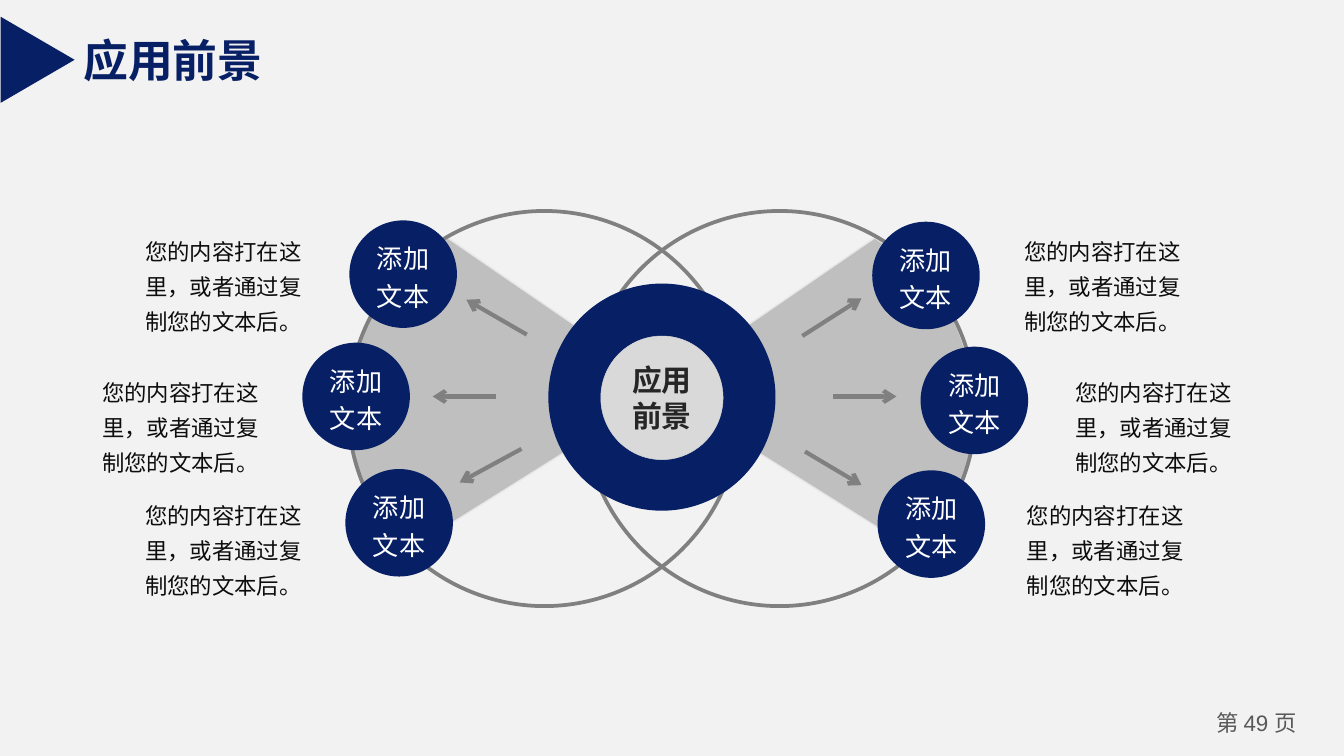
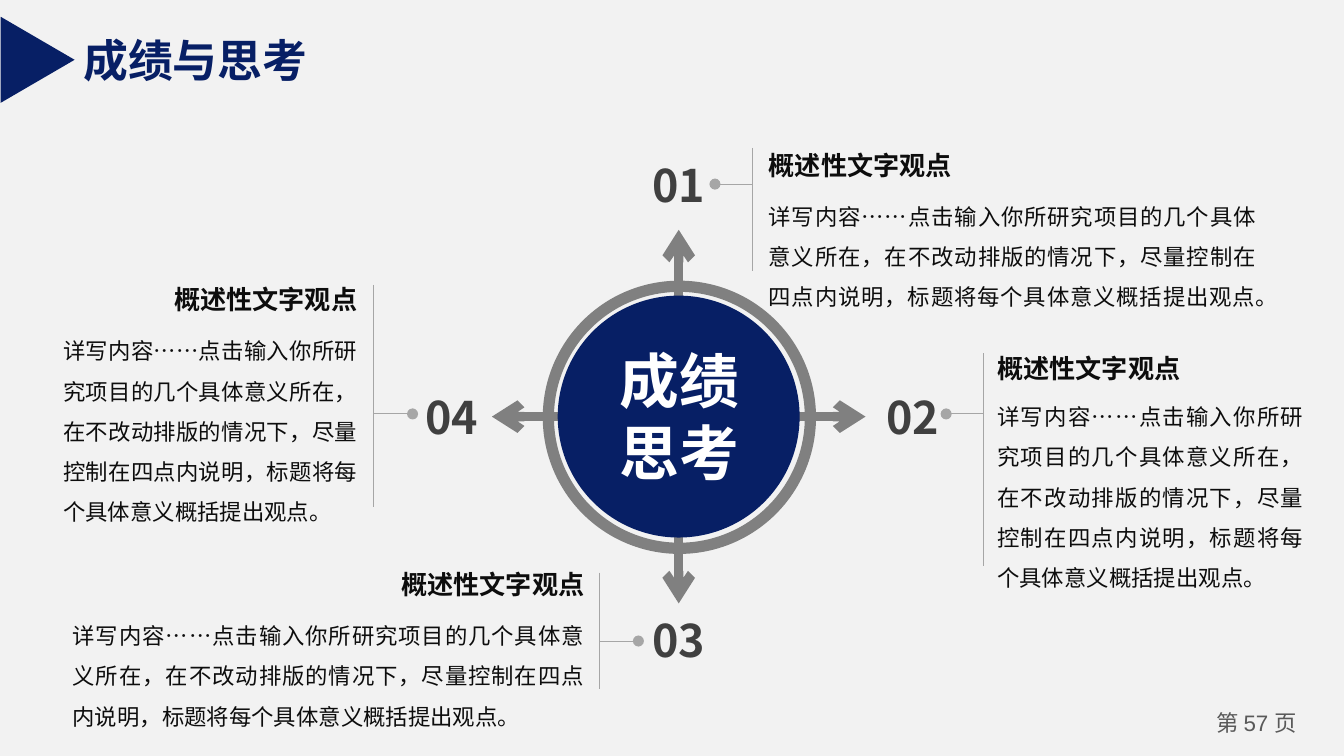
import lxml.etree
import pptx
import pptx.dml.color
import pptx.enum.shapes
import pptx.enum.text
import pptx.oxml.ns
import pptx.util

COLOURS = {
    "background": "F2F2F2",
    "navy": "071F65",
    "white": "FFFFFF",
    "ink": "0D0D0D",
    "hub_text": "262626",
    "number": "404040",
    "footer": "595959",
    "grey": "808080",
    "rule": "A6A6A6",
    "wedge": "BFBFBF",
    "wedge_edge": "E6E6E6",
    "hub": "D9D9D9",
    "hub_edge": "D7D7D7",
}
FONT = "Noto Sans CJK SC"
CELL = pptx.util.Inches(0.1)  # the slide is a grid of 100 columns
OVAL = pptx.enum.shapes.MSO_SHAPE.OVAL
TRIANGLE = pptx.enum.shapes.MSO_SHAPE.ISOSCELES_TRIANGLE
ALIGN = pptx.enum.text.PP_ALIGN
ANCHOR = pptx.enum.text.MSO_ANCHOR
qn = pptx.oxml.ns.qn


def dress(shape, bounds=None, fill=None, line=None, line_width=1, runs=(),
          size=12, colour="ink", bold=False, align=ALIGN.LEFT, spacing=1.0,
          anchor=ANCHOR.TOP, margins=(0.7, 0.4), wrap=True):
    """Place a shape by (column, row, columns, rows), then paint it and fill in its text."""
    if bounds:
        shape.left, shape.top, shape.width, shape.height = [
            round(value * CELL) for value in bounds]
    shape.shadow.inherit = False
    for part, name in ((shape.fill, fill), (shape.line.fill, line)):
        if name:
            part.solid()
            part.fore_color.rgb = pptx.dml.color.RGBColor.from_string(COLOURS[name])
        else:
            part.background()
    if line:
        shape.line.width = pptx.util.Pt(line_width)
    if not runs:
        return
    frame = shape.text_frame
    frame.word_wrap = wrap
    frame.auto_size = pptx.enum.text.MSO_AUTO_SIZE.NONE
    frame.vertical_anchor = anchor
    frame.margin_left = frame.margin_right = round(margins[0] * CELL)
    frame.margin_top = frame.margin_bottom = round(margins[1] * CELL)
    paragraph = frame.paragraphs[0]
    paragraph.alignment = align
    paragraph.line_spacing = spacing
    for text, font_name in runs:
        run = paragraph.add_run()
        run.text = text
        run.font.size = pptx.util.Pt(size)
        run.font.bold = bold
        run.font.color.rgb = pptx.dml.color.RGBColor.from_string(COLOURS[colour])
        run.font.name = font_name
        east_asian = lxml.etree.SubElement(run._r.get_or_add_rPr(), qn("a:ea"))
        east_asian.set("typeface", font_name)


def draw_line(slide, start, end, colour, width, tip=None):
    """Draw a straight line between two grid points; tip is the arrowhead type at its end."""
    connector = slide.shapes.add_connector(
        pptx.enum.shapes.MSO_CONNECTOR.STRAIGHT,
        *[round(value * CELL) for value in (*start, *end)])
    connector.line.color.rgb = pptx.dml.color.RGBColor.from_string(COLOURS[colour])
    connector.line.width = pptx.util.Pt(width)
    properties = connector._element.spPr
    if tip:
        tail = lxml.etree.SubElement(properties.find(qn("a:ln")), qn("a:tailEnd"))
        tail.set("type", tip)
    lxml.etree.SubElement(properties, qn("a:effectLst"))


presentation = pptx.Presentation()
presentation.slide_width = 100 * CELL
presentation.slide_height = presentation.slide_width * 9 // 16
background = presentation.slide_master.background.fill
background.solid()
background.fore_color.rgb = pptx.dml.color.RGBColor.from_string(COLOURS["background"])

# Title, marker and page number of every slide
slides = []
for title, title_width, page in (("应用前景", 15.5, "49"), ("成绩与思考", 18.8, "57")):
    slide = presentation.slides.add_slide(presentation.slide_layouts[5])
    dress(slide.shapes.title, (5.2, 1.9, title_width, 5), runs=[(title, FONT)],
          size=24, colour="navy", bold=True, margins=(1, 0.5), wrap=False)
    marker = slide.shapes.add_shape(TRIANGLE, 0, 0, 0, 0)
    dress(marker, (-0.4, 1.7, 6.4, 5.5), fill="navy")
    marker.rotation = 90
    dress(slide.shapes.add_textbox(0, 0, 0, 0), (89, 52.4, 9, 3),
          runs=[("第 ", FONT), (page + " ", "Arial"), ("页", FONT)],
          colour="footer", align=ALIGN.CENTER)
    slides.append(slide)
prospects, reflections = slides

# Slide 1: two mirrored wedges, each an apex and three curves
WEDGE_APEX = (48.8, 28.9)
WEDGE_START = (68.1, 41)
WEDGE_CURVES = [
    ((72.8, 35.2), (72.3, 33.2), (72.5, 30.2)),
    ((72.4, 27.8), (71.8, 25.2), (70.5, 23)),
    ((68.2, 19.8), (68.7, 20.1), (65.1, 17.7)),
]
CURVE_STEPS = 12
MIRROR_SUM = 98.4
outline = [WEDGE_APEX, WEDGE_START]
for control_1, control_2, end in WEDGE_CURVES:
    corners = list(zip(outline[-1], control_1, control_2, end))
    for step in range(1, CURVE_STEPS + 1):
        t = step / CURVE_STEPS
        weights = ((1 - t) ** 3, 3 * t * (1 - t) ** 2, 3 * t ** 2 * (1 - t), t ** 3)
        outline.append(tuple(sum(weight * value for weight, value in zip(weights, axis))
                             for axis in corners))
for mirrored in (False, True):
    points = [(round((MIRROR_SUM - x if mirrored else x) * CELL), round(y * CELL))
              for x, y in outline]
    builder = prospects.shapes.build_freeform(*points[0])
    builder.add_line_segments(points[1:], close=True)
    dress(builder.convert_to_shape(), fill="wedge", line="wedge_edge", line_width=0.75)

for ring_left in (25.9, 43.4):
    dress(prospects.shapes.add_shape(OVAL, 0, 0, 0, 0), (ring_left, 15.7, 29.2, 29.4),
          line="grey", line_width=2)

for start, end in (
    ((39.2, 24.9), (34.7, 22.3)),
    ((36.9, 29.5), (32.2, 29.5)),
    ((38.8, 33.4), (34.2, 35.9)),
    ((59.9, 33.6), (64.1, 36.1)),
    ((62, 29.5), (66.7, 29.5)),
    ((59.7, 25), (64.1, 22.2)),
):
    draw_line(prospects, start, end, "grey", 2.25, "arrow")

dress(prospects.shapes.add_shape(OVAL, 0, 0, 0, 0), (40.8, 21.1, 16.9, 16.9), fill="navy")
dress(prospects.shapes.add_shape(OVAL, 0, 0, 0, 0), (44.7, 25, 9.1, 9.2),
      fill="hub", line="hub_edge", line_width=0.25, runs=[("应用前景", FONT)], size=16,
      colour="hub_text", bold=True, align=ALIGN.CENTER, anchor=ANCHOR.MIDDLE)

CAPTION_ROWS = (16.7, 27.2, 36.4)
LEFT_DISCS = ((26, 16.4, 10.1), (22.5, 25.5, 6.9), (25.7, 34.9, 10.1))
RIGHT_DISCS = ((64.9, 16.5, 75.5), (68.5, 25.8, 79.3), (65.3, 35, 75.7))
for discs in (LEFT_DISCS, RIGHT_DISCS):
    for (disc_left, disc_top, caption_left), caption_top in zip(discs, CAPTION_ROWS):
        dress(prospects.shapes.add_shape(OVAL, 0, 0, 0, 0), (disc_left, disc_top, 8, 8),
              fill="navy", runs=[("添加文本", FONT)], size=14, colour="white",
              align=ALIGN.CENTER, spacing=1.2, anchor=ANCHOR.MIDDLE)
        dress(prospects.shapes.add_textbox(0, 0, 0, 0),
              (caption_left, caption_top, 14.6, 8.4),
              runs=[("您的内容打在这里，或者通过复制您的文本后。", FONT)], spacing=1.3)

# Slide 2: ring with four arrows, then the disc over their inner ends
dress(reflections.shapes.add_shape(OVAL, 0, 0, 0, 0), (40.8, 21.3, 19.5, 19.5),
      line="grey", line_width=6)
CENTRE_X, CENTRE_Y = 50.5, 31
for step_x, step_y in ((0, -1), (1, 0), (0, 1), (-1, 0)):
    inner, outer = [(CENTRE_X + step_x * reach, CENTRE_Y + step_y * reach)
                    for reach in (7.8, 13.9)]
    draw_line(reflections, inner, outer, "grey", 5, "arrow")
dress(reflections.shapes.add_shape(OVAL, 0, 0, 0, 0), (41.5, 22, 18, 18), fill="navy")
dress(reflections.shapes.add_textbox(0, 0, 0, 0), (44, 25.1, 13.1, 11.8),
      runs=[("成绩思考", FONT)], size=32, colour="white", bold=True,
      align=ALIGN.CENTER, margins=(1, 0.5))

BODY = ("详写内容……点击输入你所研究项目的几个具体意义所在，在不改动排版的情况下，"
        "尽量控制在四点内说明，标题将每个具体意义概括提出观点。")
# number, its corner, rule (column, top, bottom), link row, heading row and width, body box
VIEWPOINTS = [
    ("01", (47.9, 11.7), (56, 11, 20.2), 13.7, (11.1, 23.2), (57.2, 14.1, 36.3, 8.8)),
    ("02", (65.3, 29), (73.2, 26.3, 42.1), 30.8, (26.2, 15.2), (74.2, 29, 22.8, 14.8)),
    ("03", (47.9, 45.6), (44.6, 42.6, 51.3), 47.7, (42.3, 15.2), (5.4, 45.3, 38.1, 8.8)),
    ("04", (31, 29), (27.8, 21.2, 37.7), 30.8, (21.1, 15.2), (4.7, 24.1, 21.9, 14.8)),
]
for number, corner, rule, link_row, heading, body in VIEWPOINTS:
    rule_column, rule_top, rule_bottom = rule
    heading_top, heading_width = heading
    text_on_right = body[0] > rule_column
    if text_on_right:
        heading_left, heading_align, link_end = body[0], ALIGN.LEFT, rule_column - 2.8
    else:
        heading_left = body[0] + body[2] - heading_width
        heading_align, link_end = ALIGN.RIGHT, rule_column + 2.9
    draw_line(reflections, (rule_column, rule_top), (rule_column, rule_bottom), "rule", 0.5)
    draw_line(reflections, (rule_column, link_row), (link_end, link_row), "rule", 0.5, "oval")
    dress(reflections.shapes.add_textbox(0, 0, 0, 0), (*corner, 5.2, 4),
          runs=[(number, FONT)], size=24, colour="number", bold=True,
          align=ALIGN.CENTER, margins=(0, 0))
    dress(reflections.shapes.add_textbox(0, 0, 0, 0),
          (heading_left, heading_top, heading_width, 2.4),
          runs=[("概述性文字观点", FONT)], size=14, bold=True,
          align=heading_align, margins=(0, 0))
    dress(reflections.shapes.add_textbox(0, 0, 0, 0), body, runs=[(BODY, FONT)],
          align=ALIGN.JUSTIFY, spacing=1.5, margins=(0, 0))

presentation.save("out.pptx")
